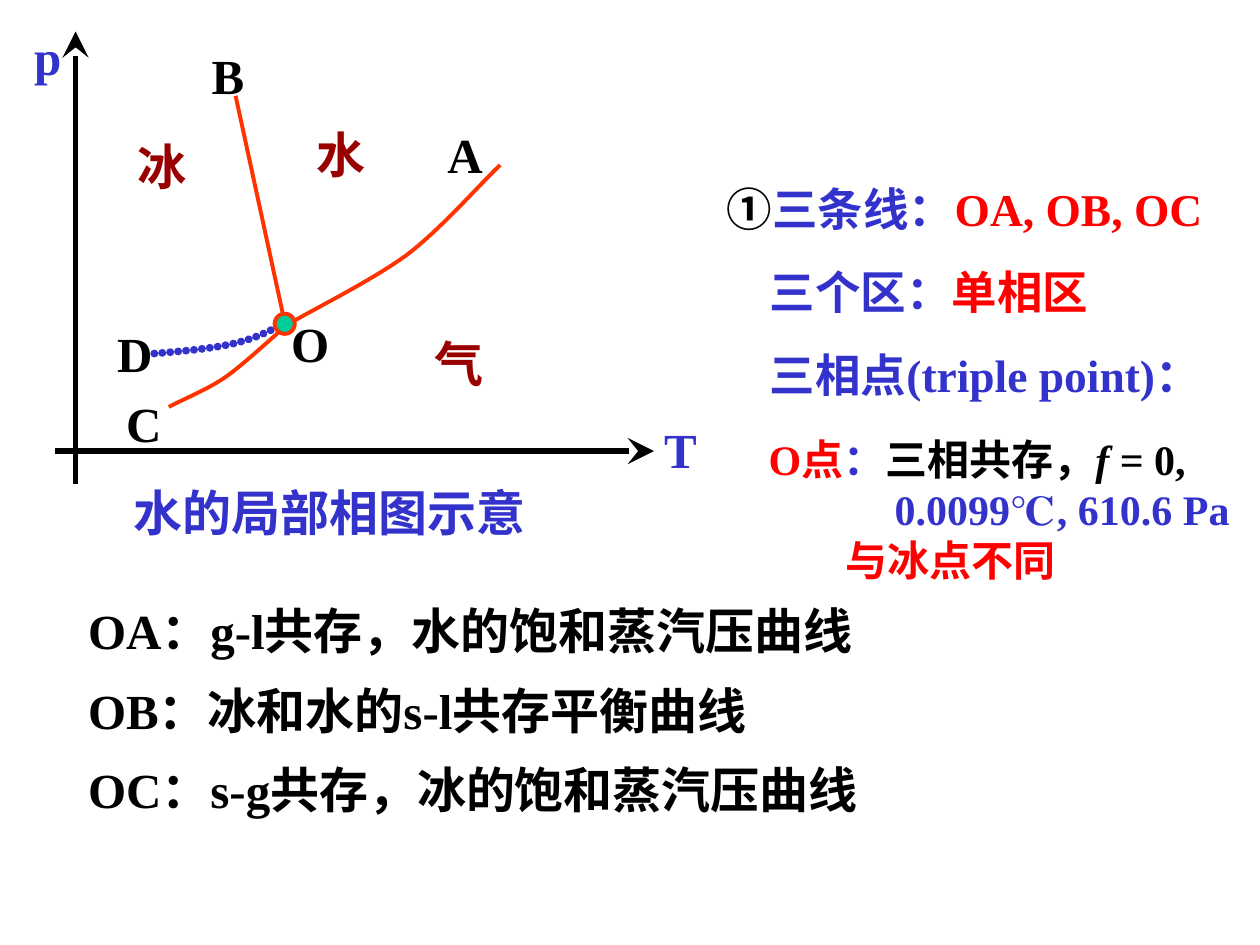
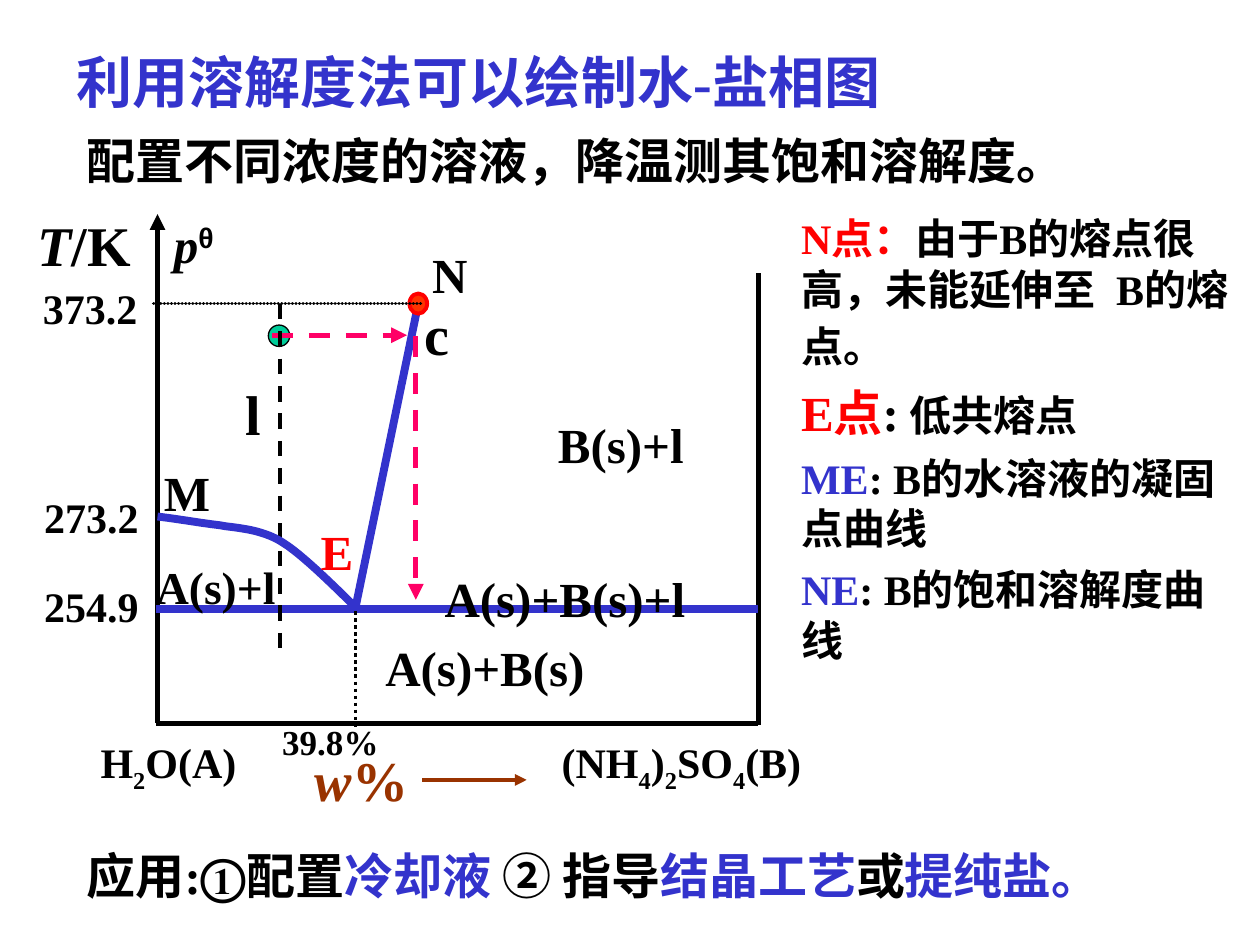
from collections import namedtuple

from lxml import etree
from pptx import Presentation
from pptx.dml.color import RGBColor
from pptx.enum.dml import MSO_LINE
from pptx.enum.shapes import MSO_CONNECTOR, MSO_SHAPE
from pptx.enum.text import MSO_ANCHOR, MSO_AUTO_SIZE, PP_ALIGN
from pptx.oxml.ns import qn
from pptx.util import Inches, Pt

BLACK = RGBColor(0x00, 0x00, 0x00)
BLUE = RGBColor(0x33, 0x33, 0xCC)
RED = RGBColor(0xFF, 0x00, 0x00)
ORANGE = RGBColor(0xFF, 0x33, 0x00)
MAROON = RGBColor(0x99, 0x00, 0x00)
BROWN = RGBColor(0x99, 0x33, 0x00)
PINK = RGBColor(0xFF, 0x00, 0x66)
GREEN = RGBColor(0x00, 0xCC, 0x99)

LATIN, GREEK, CJK = "Times New Roman", "Arial", "Noto Sans CJK SC"
DASH, DOT = MSO_LINE.DASH, MSO_LINE.ROUND_DOT
BEADS = "beads"
STRAIGHT, OVAL = MSO_CONNECTOR.STRAIGHT, MSO_SHAPE.OVAL
TOP, NO_FIT = MSO_ANCHOR.TOP, MSO_AUTO_SIZE.NONE
LEFT, CENTER = PP_ALIGN.LEFT, PP_ALIGN.CENTER
TITLE_ONLY, BLANK = 5, 6
CURVE_STEPS = 16

Run = namedtuple("Run", "text color size italic base font",
                 defaults=(BLACK, 28, False, 0, LATIN))


def write_runs(paragraph, runs):
    """Add the runs to a paragraph, all in bold."""
    for item in runs:
        run = paragraph.add_run()
        run.text = item.text
        font = run.font
        font.name, font.size, font.bold = item.font, Pt(item.size), True
        font.italic = item.italic
        font.color.rgb = item.color
        properties = run._r.get_or_add_rPr()
        etree.SubElement(properties, qn("a:ea")).set("typeface", CJK)
        if item.base:
            properties.set("baseline", str(item.base * 1000))


def fill_frame(frame, paragraphs, padded=False, wrap=True, align=LEFT, gap=0, indents=()):
    """Set up a text frame and write its paragraphs."""
    frame.word_wrap, frame.auto_size, frame.vertical_anchor = wrap, NO_FIT, TOP
    frame.margin_left = frame.margin_right = Inches(0.1 if padded else 0)
    frame.margin_top = frame.margin_bottom = Inches(0.05 if padded else 0)
    for number, runs in enumerate(paragraphs):
        paragraph = frame.add_paragraph() if number else frame.paragraphs[0]
        paragraph.alignment = align
        if number and gap:
            paragraph.space_before = Pt(gap)
        if indents and indents[number]:
            properties = paragraph._p.get_or_add_pPr()
            properties.set("marL", str(Inches(indents[number])))
            properties.set("indent", "0")
        write_runs(paragraph, runs)


def add_text(slide, at, paragraphs, **layout):
    """Place a text box holding the paragraphs."""
    box = slide.shapes.add_textbox(*map(Inches, at))
    fill_frame(box.text_frame, paragraphs, **layout)


def add_label(slide, x, y, text, color=BLACK, size=28, width=0.75, **layout):
    """Place a one-run label."""
    height = round(size / 60, 2) + (0.1 if layout.get("padded") else 0)
    add_text(slide, (x, y, width, height), [[Run(text, color, size)]], **layout)


def style_line(shape, color, weight, dash=None, arrow=None, arrow_size="med"):
    """Give a line its colour, weight, dashes and arrowhead."""
    shape.line.color.rgb = color
    shape.line.width = Pt(weight)
    outline = shape.element.spPr.find(qn("a:ln"))
    if dash == BEADS:
        outline.set("cap", "rnd")
        pattern = etree.SubElement(outline, qn("a:custDash"))
        stop = etree.SubElement(pattern, qn("a:ds"))
        stop.set("d", "100000")
        stop.set("sp", "1000")
    elif dash:
        shape.line.dash_style = dash
    if arrow:
        head = etree.SubElement(outline, qn("a:tailEnd"))
        for key, value in (("type", arrow), ("w", arrow_size), ("len", arrow_size)):
            head.set(key, value)


def add_line(slide, start, end, color, weight, **style):
    """Draw a straight line or arrow."""
    line = slide.shapes.add_connector(STRAIGHT, *map(Inches, (*start, *end)))
    style_line(line, color, weight, **style)
    etree.SubElement(line.element.spPr, qn("a:effectLst"))


def bezier_points(start, pieces):
    """Return points along joined cubic curves."""
    points = []
    for first, second, end in pieces:
        for step in range(1, CURVE_STEPS + 1):
            t = step / CURVE_STEPS
            u = 1 - t
            points.append(tuple(
                Inches(u**3 * a + 3 * u * u * t * b + 3 * u * t * t * c + t**3 * d)
                for a, b, c, d in zip(start, first, second, end)))
        start = end
    return points


def add_curve(slide, start, pieces, color, weight, **style):
    """Draw an open smooth curve."""
    builder = slide.shapes.build_freeform(*map(Inches, start))
    builder.add_line_segments(bezier_points(start, pieces), close=False)
    curve = builder.convert_to_shape()
    curve.fill.background()
    curve.shadow.inherit = False
    style_line(curve, color, weight, **style)


def add_point(slide, at, fill, color, weight):
    """Mark a point of the diagram with a dot."""
    dot = slide.shapes.add_shape(OVAL, *map(Inches, at))
    dot.fill.solid()
    dot.fill.fore_color.rgb = fill
    dot.shadow.inherit = False
    style_line(dot, color, weight)


def add_water_diagram(slide):
    """Draw the p-T diagram of water."""
    for start, end in (((0.44, 3.58), (5.19, 3.58)), ((0.6, 3.84), (0.6, 0.25))):
        add_line(slide, start, end, BLACK, 3, arrow="stealth", arrow_size="lg")
    add_curve(slide, (2.26, 2.59), [((2.42, 2.49), (2.93, 2.24), (3.22, 2.03)),
                                    ((3.5, 1.82), (3.81, 1.46), (3.97, 1.31))], ORANGE, 2.25)
    add_line(slide, (1.87, 0.76), (2.26, 2.56), ORANGE, 2.25)
    add_curve(slide, (2.27, 2.59), [((2.19, 2.65), (1.94, 2.89), (1.78, 3)),
                                    ((1.63, 3.1), (1.43, 3.18), (1.34, 3.23))], ORANGE, 2.25)
    add_curve(slide, (2.26, 2.56), [((2.14, 2.63), (2.02, 2.69), (1.84, 2.73)),
                                    ((1.66, 2.77), (1.42, 2.79), (1.18, 2.81))],
              BLUE, 4.5, dash=BEADS)
    add_point(slide, (2.18, 2.49, 0.16, 0.16), GREEN, ORANGE, 2.25)
    for x, y, text, color in (
            (2.31, 2.49, "O", BLACK), (1.68, 0.36, "B", BLACK), (3.55, 0.99, "A", BLACK),
            (1, 3.12, "C", BLACK), (0.93, 2.57, "D", BLACK), (1.09, 1.08, "冰", MAROON),
            (2.51, 0.99, "水", MAROON), (3.45, 2.65, "气", MAROON),
            (0.27, 0.21, "p", BLUE), (5.27, 3.33, "T", BLUE)):
        add_label(slide, x, y, text, color)
    add_label(slide, 1.06, 3.83, "水的局部相图示意", BLUE, width=3.15)


def build_water_slide(slide):
    """Build the slide on the phase diagram of water."""
    curves = ("OA：g-l共存，水的饱和蒸汽压曲线", "OB：冰和水的s-l共存平衡曲线",
              "OC：s-g共存，冰的饱和蒸汽压曲线")
    for row, meaning in enumerate(curves):
        add_label(slide, 0.7, 4.77 + 0.63 * row, meaning, width=9.3)
    add_water_diagram(slide)
    add_text(slide, (5.67, 1.39, 4.33, 1.85), [
        [Run("①", BLACK, 26), Run("三条线：", BLUE, 26), Run("OA, OB, OC", RED, 26)],
        [Run("三个区：", BLUE, 26), Run("单相区", RED, 26)],
        [Run("三相点(triple point)：", BLUE, 26)],
    ], padded=True, gap=16.2, indents=(0, 0.34, 0.34))
    add_text(slide, (6.1, 3.44, 3.9, 1.2), [
        [Run("O点", RED, 24), Run("：", BLUE, 24), Run("三相共存，", BLACK, 24),
         Run("f ", BLACK, 24, True), Run("= 0,", BLACK, 24)],
        [Run("0.0099℃, 610.6 Pa", BLUE, 24)],
        [Run("与冰点不同", RED, 24)],
    ], indents=(0, 1, 0.61))


def add_salt_diagram(slide):
    """Draw the T-w diagram of water and salt."""
    add_line(slide, (1.24, 5.74), (6.02, 5.74), BLACK, 3)
    add_line(slide, (6.02, 5.75), (6.02, 2.17), BLACK, 3)
    add_line(slide, (1.25, 5.74), (1.25, 1.7), BLACK, 3, arrow="triangle")
    add_line(slide, (1.24, 4.83), (6.02, 4.83), BLUE, 4.5)
    add_line(slide, (2.82, 4.83), (3.32, 2.41), BLUE, 4.5)
    add_point(slide, (2.13, 2.58, 0.17, 0.17), GREEN, BLACK, 0.75)
    for start, end in (((2.16, 2.66), (3.23, 2.66)), ((3.3, 2.67), (3.3, 4.76))):
        add_line(slide, start, end, PINK, 3, dash=DASH, arrow="triangle")
    add_line(slide, (3.35, 6.19), (4.18, 6.19), BROWN, 2.25, arrow="triangle")
    add_line(slide, (2.82, 4.85), (2.82, 5.8), BLACK, 2, dash=DOT)
    add_point(slide, (3.25, 2.33, 0.14, 0.16), ORANGE, RED, 2.25)
    add_line(slide, (1.22, 2.41), (3.35, 2.41), BLACK, 2, dash=BEADS)
    add_line(slide, (2.22, 2.41), (2.22, 5.18), BLACK, 2.25, dash=DASH)
    add_curve(slide, (1.25, 4.1), [((1.42, 4.12), (1.58, 4.15), (1.75, 4.17)),
                                   ((1.84, 4.19), (2.07, 4.19), (2.25, 4.31)),
                                   ((2.43, 4.42), (2.83, 4.83), (2.83, 4.83))], BLUE, 4.5)


def add_salt_labels(slide):
    """Label the axes, regions and points of the salt diagram."""
    for x, y, text, size, width in (
            (1.85, 2.96, "l", 32, 0.32), (4.33, 3.24, "B(s)+l", 28, 1.2),
            (2.96, 5.01, "A(s)+B(s)", 28, 1.78), (1.14, 4.39, "A(s)+l", 26, 1.15),
            (3.43, 4.46, "A(s)+B(s)+l", 28, 2.11), (3.27, 2.33, "c", 32, 0.4)):
        add_label(slide, x, y, text, size=size, width=width, padded=True, wrap=False)
    for x, y, text, size in (
            (0.34, 2.24, "373.2", 24), (0.35, 3.9, "273.2", 24), (0.35, 4.61, "254.9", 24),
            (2.24, 5.72, "39.8%", 20), (3.43, 1.94, "N", 28), (1.3, 3.67, "M", 28)):
        add_label(slide, x, y, text, size=size, width=1.34)
    add_label(slide, 2.34, 4.14, "E", RED, width=0.67, align=CENTER)
    add_text(slide, (1.38, 1.7, 1.24, 0.47),
             [[Run("p", italic=True), Run("θ", base=30, font=GREEK)]])
    for x, y, symbol, unit, color in ((2.4, 5.87, "w", "%", BROWN),
                                      (0.2, 1.62, "T", "/K", BLACK)):
        add_text(slide, (x, y, 0.94, 0.64),
                 [[Run(symbol, color, 32, True), Run(unit, color, 32)]],
                 padded=True, wrap=False)
    for x, width, formula in ((0.7, 1.3, ("H", "2", "O(A)")),
                              (4.36, 2.1, ("(NH", "4", ")", "2", "SO", "4", "(B)"))):
        add_text(slide, (x, 5.8, width, 0.56),
                 [[Run(part, size=24, base=-25 if part.isdigit() else 0) for part in formula]],
                 padded=True, wrap=False)


def build_salt_slide(slide):
    """Build the slide on the water-salt phase diagram."""
    title = slide.shapes.title
    title.left, title.top, title.width, title.height = map(Inches, (0.51, 0.33, 7.42, 0.64))
    fill_frame(title.text_frame, [[Run("利用溶解度法可以绘制水-盐相图", BLUE, 32)]], padded=True)
    add_label(slide, 0.59, 0.99, "配置不同浓度的溶液，降温测其饱和溶解度。",
              width=8.44, padded=True)
    add_salt_diagram(slide)
    add_salt_labels(slide)
    add_text(slide, (6.26, 1.64, 3.74, 4.17), [
        [Run("N点：", RED, 24), Run("由于B的熔点很\t高，未能延伸至\tB的熔点。", BLACK, 24),
         Run(" ", RED)],
        [Run("E点", RED), Run(":"), Run(" 低共熔点", size=24)],
        [Run("ME", BLUE, 24), Run(": B的", size=24),
         Run("水溶液的凝固\t点曲线", size=24, font=CJK)],
        [Run("NE", BLUE, 24), Run(": B的饱和溶解度曲\t线", size=24)],
    ], padded=True, gap=6)
    add_text(slide, (0.59, 6.66, 8.98, 0.57), [[
        Run("应用:①配置"), Run("冷却液", BLUE), Run(" ② 指导"),
        Run("结晶工艺", BLUE), Run("或"), Run("提纯盐。", BLUE)]], padded=True)


def main():
    """Build both slides and save the presentation."""
    deck = Presentation()
    deck.slide_width, deck.slide_height = Inches(10), Inches(7.5)
    build_water_slide(deck.slides.add_slide(deck.slide_layouts[BLANK]))
    build_salt_slide(deck.slides.add_slide(deck.slide_layouts[TITLE_ONLY]))
    deck.save("out.pptx")


if __name__ == "__main__":
    main()
